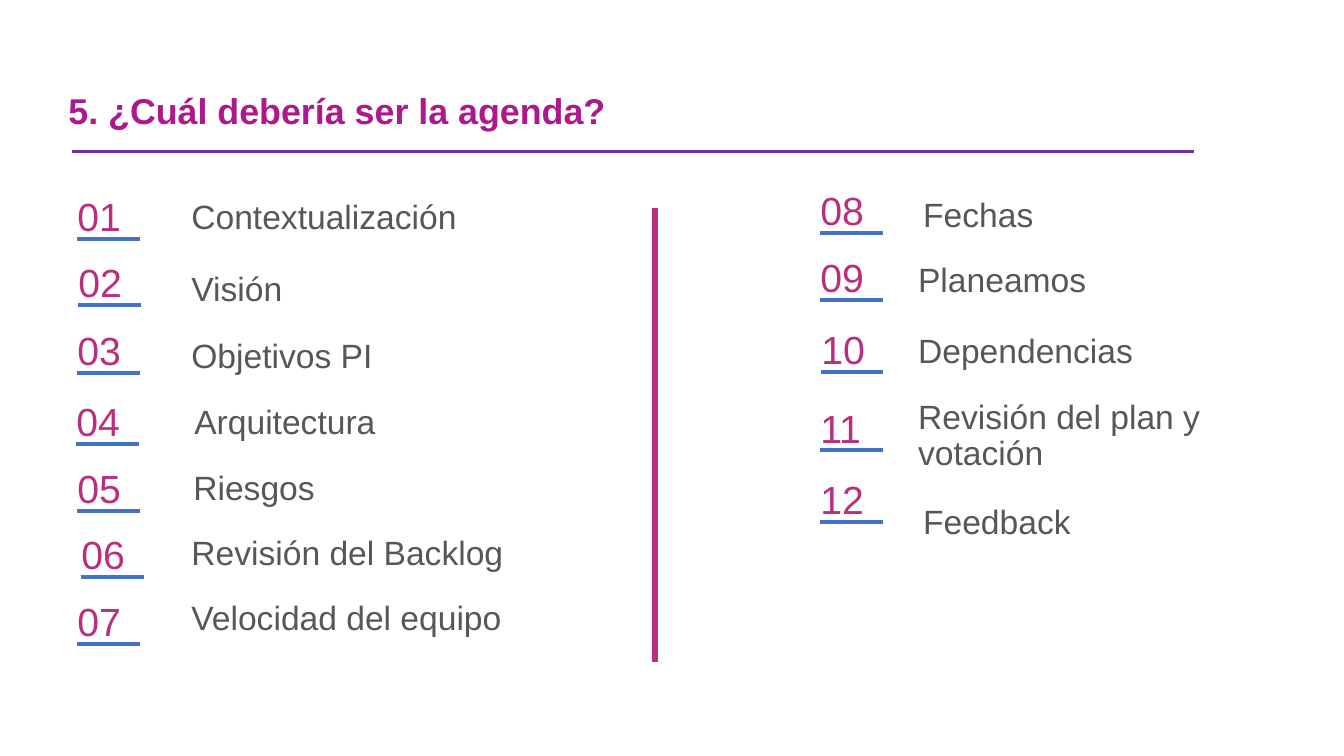
from dataclasses import dataclass

from lxml.etree import SubElement
from pptx import Presentation
from pptx.dml.color import RGBColor
from pptx.enum.shapes import MSO_CONNECTOR as Connector
from pptx.enum.text import MSO_ANCHOR as Anchor
from pptx.oxml.ns import qn
from pptx.util import Pt

COLORS = {
    "title": "AD198D",
    "title_rule": "7030A0",
    "number": "BA2F7D",
    "number_rule": "4472C4",
    "label": "575756",
}
FONT = "Arial"


@dataclass
class Topic:
    """Agenda entry; number and label boxes are offsets from the column corner."""
    label: str
    number_at: tuple
    label_box: tuple


FIRST_HALF = [
    Topic("Contextualización", (0, 0), (81.4, 2.2, 211, 26.6)),
    Topic("Visión", (0.7, 47.5), (81.4, 53.3, 95, 26.6)),
    Topic("Objetivos PI", (0, 95.8), (81.4, 101.5, 157.7, 30.2)),
    Topic("Arquitectura", (-0.7, 146.9), (83.5, 148.3, 166.3, 33.1)),
    Topic("Riesgos", (0, 194.4), (82.8, 195.8, 150.5, 36)),
    Topic("Revisión del Backlog", (2.9, 241.9), (81.4, 241.9, 243.4, 33.1)),
    Topic("Velocidad del equipo", (0, 289.4), (81.4, 288.7, 246.2, 38.2)),
]
SECOND_HALF = [
    Topic("Fechas", (0, 0), (73.4, 5, 121.7, 31)),
    Topic("Planeamos", (0, 48.2), (69.8, 51.8, 144.7, 36.7)),
    Topic("Dependencias", (0.7, 99.4), (69.8, 102.2, 180.7, 33.1)),
    Topic("Revisión del plan y votación", (0, 155.5), (69.8, 149, 272.9, 51.8)),
    Topic("Feedback", (0, 206.6), (73.4, 224.6, 138.2, 33.8)),
]


def add_text(shapes, text, box, size, color, bold=False, before=10, anchor=Anchor.TOP):
    frame = shapes.add_textbox(*map(Pt, box)).text_frame
    frame.word_wrap = True
    frame.vertical_anchor = anchor
    frame.text = text
    paragraph = frame.paragraphs[0]
    paragraph.line_spacing = 0.9
    paragraph.space_before = Pt(before)
    font = paragraph.runs[0].font
    font.name, font.size, font.bold = FONT, Pt(size), bold
    font.color.rgb = RGBColor.from_string(COLORS[color])


def add_rule(shapes, start, end, color, width):
    rule = shapes.add_connector(Connector.STRAIGHT, *map(Pt, (*start, *end)))
    rule.line.color.rgb = RGBColor.from_string(COLORS[color])
    rule.line.width = Pt(width)
    SubElement(rule._element.spPr, qn("a:effectLst"))


def add_heading(slide, text, left, top, width, height):
    add_text(slide.shapes, text, (left, top, width, height), 25.6, "title",
             bold=True, before=0, anchor=Anchor.MIDDLE)
    rule_left, rule_top = left + 9.3, top + 49
    add_rule(slide.shapes, (rule_left, rule_top), (rule_left + 802, rule_top),
             "title_rule", 2.25)


def add_number(slide, number, left, top):
    """Group a two-digit number with its underline."""
    shapes = slide.shapes.add_group_shape().shapes
    add_text(shapes, f"{number:02d}", (left, top, 51, 26.6), 28, "number")
    rule_left, rule_top = left + 6.5, top + 33
    add_rule(shapes, (rule_left, rule_top), (rule_left + 45, rule_top),
             "number_rule", 3)


def add_agenda_column(slide, topics, first_number, left, top):
    for number, topic in enumerate(topics, first_number):
        dx, dy = topic.number_at
        add_number(slide, number, left + dx, top + dy)
        dx, dy, width, height = topic.label_box
        add_text(slide.shapes, topic.label, (left + dx, top + dy, width, height),
                 24, "label")


def add_agenda(slide, left, top):
    add_agenda_column(slide, FIRST_HALF, 1, left, top)
    divider = left + 419.8
    add_rule(slide.shapes, (divider, top + 335.5), (divider, top + 10.8),
             "number", 4.5)
    add_agenda_column(slide, SECOND_HALF, len(FIRST_HALF) + 1,
                      left + 530.7, top - 4.3)


def main():
    deck = Presentation()
    deck.slide_width, deck.slide_height = Pt(960), Pt(540)
    slide = deck.slides.add_slide(deck.slide_layouts[6])
    add_heading(slide, "5. ¿Cuál debería ser la agenda?", 41.8, 59, 743.8, 43.9)
    add_agenda(slide, 48.2, 137.5)
    deck.save("out.pptx")


if __name__ == "__main__":
    main()
